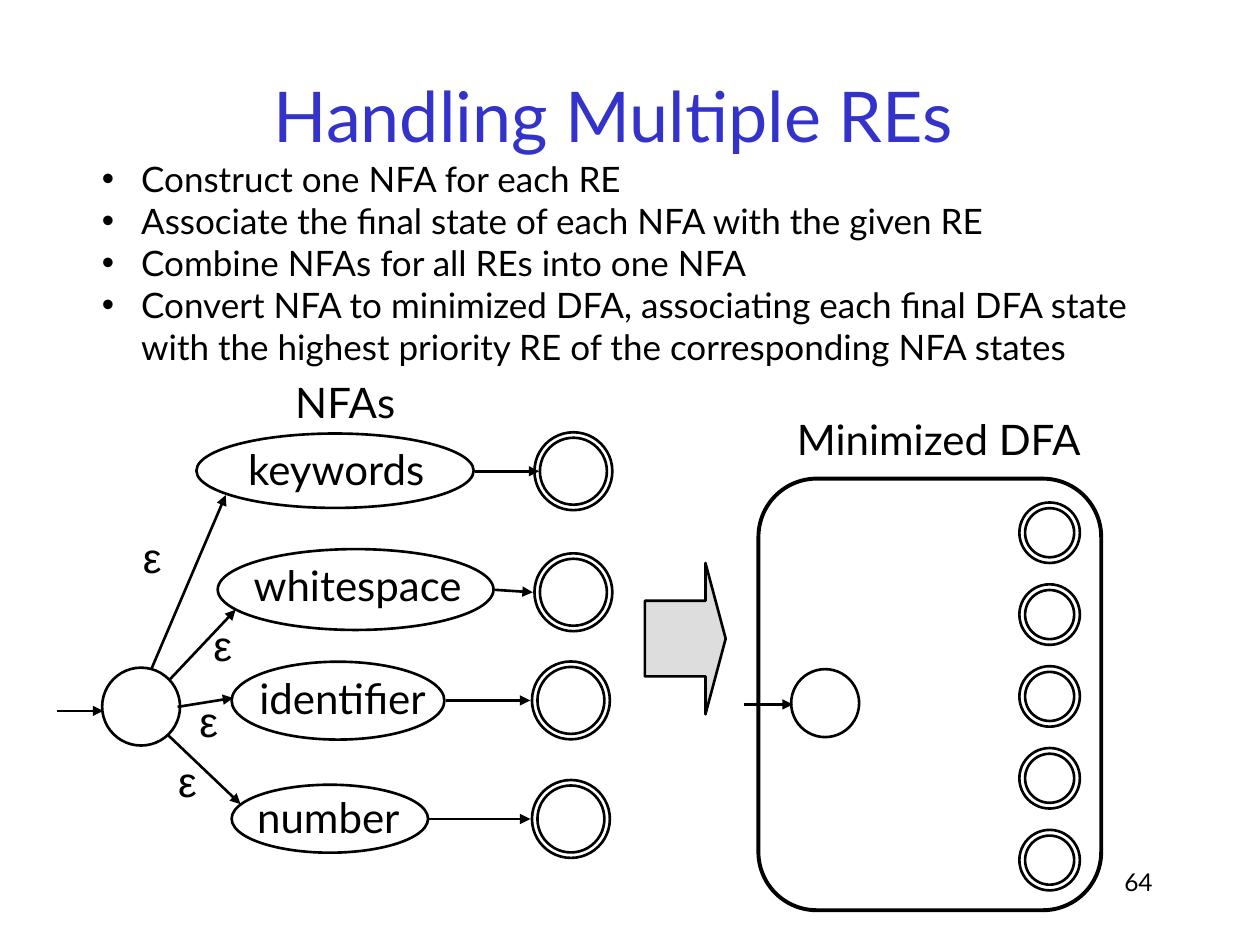
from lxml import etree
from pptx import Presentation
from pptx.dml.color import RGBColor
from pptx.enum.shapes import MSO_CONNECTOR, MSO_SHAPE
from pptx.enum.text import MSO_ANCHOR, MSO_AUTO_SIZE, PP_ALIGN
from pptx.oxml.ns import qn
from pptx.util import Cm, Pt

LEFT, CENTER, RIGHT = PP_ALIGN.LEFT, PP_ALIGN.CENTER, PP_ALIGN.RIGHT
TOP, MIDDLE = MSO_ANCHOR.TOP, MSO_ANCHOR.MIDDLE
NO_FIT = MSO_AUTO_SIZE.NONE
OVAL, ROUNDED = MSO_SHAPE.OVAL, MSO_SHAPE.ROUNDED_RECTANGLE
BLOCK_ARROW = MSO_SHAPE.RIGHT_ARROW
STRAIGHT = MSO_CONNECTOR.STRAIGHT

COLORS = {"ink": "000000", "title": "3333CC", "arrow": "DDDDDD"}
LABEL_HEIGHT = 1.27


class AutomataSlide:
    font = "Lato"
    line_width = 1.5

    def __init__(self, slide):
        self.slide = slide

    def color(self, name):
        return RGBColor.from_string(COLORS[name])

    def add_words(self, paragraph, text, size, color="ink", font=None):
        run = paragraph.add_run()
        run.text = text
        formats = {"name": font or self.font, "size": Pt(size)}
        for attribute, value in formats.items():
            setattr(run.font, attribute, value)
        run.font.color.rgb = self.color(color)

    def place(self, holder, left, top, width, height):
        box = {"left": left, "top": top, "width": width, "height": height}
        for attribute, value in box.items():
            setattr(holder, attribute, Cm(value))

    def frame(self, holder, anchor, wrap):
        formats = {"auto_size": NO_FIT, "vertical_anchor": anchor, "word_wrap": wrap}
        for attribute, value in formats.items():
            setattr(holder.text_frame, attribute, value)
        return holder.text_frame

    def title(self, text, *box):
        holder = self.slide.shapes.title
        self.place(holder, *box)
        paragraph = self.frame(holder, MIDDLE, True).paragraphs[0]
        paragraph.alignment = CENTER
        self.add_words(paragraph, text, 40, "title")

    def bullets(self, items, *box):
        holder = self.slide.placeholders[1]
        self.place(holder, *box)
        frame = self.frame(holder, TOP, True)
        for index, item in enumerate(items):
            paragraph = frame.add_paragraph() if index else frame.paragraphs[0]
            paragraph.alignment = LEFT
            paragraph.space_before = Pt(0)
            properties = paragraph._p.get_or_add_pPr()
            properties.set("marL", str(Cm(0.79)))
            properties.set("indent", str(-Cm(0.79)))
            bullet_color = etree.SubElement(properties, qn("a:buClr"))
            etree.SubElement(bullet_color, qn("a:srgbClr"), val=COLORS["ink"])
            etree.SubElement(properties, qn("a:buChar"), char="•")
            self.add_words(paragraph, item, 20)

    def label(self, text, left, top, width, size=24, font=None,
              align=CENTER, anchor=MIDDLE, wrap=False):
        box = self.slide.shapes.add_textbox(
            Cm(left), Cm(top), Cm(width), Cm(LABEL_HEIGHT))
        paragraph = self.frame(box, anchor, wrap).paragraphs[0]
        paragraph.alignment = align
        self.add_words(paragraph, text, size, font=font)

    def outline(self, kind, left, top, width, height, fill=None,
                line_width=None, adjustments=(), parent=None):
        shapes = (parent or self.slide).shapes
        shape = shapes.add_shape(kind, Cm(left), Cm(top), Cm(width), Cm(height))
        shape.shadow.inherit = False
        if fill:
            shape.fill.solid()
            shape.fill.fore_color.rgb = self.color(fill)
        else:
            shape.fill.background()
        shape.line.color.rgb = self.color("ink")
        shape.line.width = Pt(line_width or self.line_width)
        for index, value in enumerate(adjustments):
            shape.adjustments[index] = value

    def final_state(self, center_x, center_y, *diameters):
        group = self.slide.shapes.add_group_shape()
        for diameter in diameters:
            self.outline(OVAL, center_x - diameter / 2, center_y - diameter / 2,
                         diameter, diameter, parent=group)

    def arrow(self, *ends):
        connector = self.slide.shapes.add_connector(
            STRAIGHT, *[Cm(value) for value in ends])
        connector.line.color.rgb = self.color("ink")
        connector.line.width = Pt(self.line_width)
        properties = connector._element.spPr
        etree.SubElement(properties.find(qn("a:ln")), qn("a:tailEnd"), type="triangle")
        etree.SubElement(properties, qn("a:effectLst"))


AUTOMATA = [
    {"name": "keywords", "name_box": (4.62, 8.81, 4.32),
     "body": (3.96, 8.74, 5.59, 1.5),
     "entry": (3.05, 13.49, 4.55, 9.98), "epsilon": (2.64, 10.59),
     "exit": (9.58, 9.5, 10.87, 9.5), "final": (11.56, 9.5)},
    {"name": "whitespace", "name_box": (4.72, 11.15, 4.98),
     "body": (4.39, 11.07, 5.56, 1.63),
     "entry": (3.43, 13.69, 4.75, 12.29), "epsilon": (4.06, 12.37),
     "exit": (9.98, 11.89, 10.74, 11.94), "final": (11.56, 11.94)},
    {"name": "identifier", "name_box": (4.85, 13.44, 4.11),
     "body": (4.67, 13.34, 4.29, 1.57),
     "entry": (3.58, 14.25, 4.7, 14.07), "epsilon": (3.78, 13.89),
     "exit": (8.99, 14.12, 10.69, 14.12), "final": (11.51, 14.12)},
    {"name": "number", "name_box": (4.78, 15.82, 3.68),
     "body": (4.67, 15.82, 3.96, 1.37),
     "entry": (3.4, 14.83, 4.85, 16.21), "epsilon": (3.35, 15.11),
     "exit": (8.64, 16.51, 10.69, 16.51), "final": (11.51, 16.51)},
]

STEPS = [
    "Construct one NFA for each RE",
    "Associate the final state of each NFA with the given RE",
    "Combine NFAs for all REs into one NFA",
    "Convert NFA to minimized DFA, associating each final DFA state "
    "with the highest priority RE of the corresponding NFA states",
]


def main():
    deck = Presentation()
    deck.slide_width, deck.slide_height = Cm(25.4), Cm(19.05)
    page = AutomataSlide(deck.slides.add_slide(deck.slide_layouts[1]))

    page.title("Handling Multiple REs", 1.57, 0.71, 21.59, 3.18)
    page.bullets(STEPS, 1.8, 3.05, 21.31, 5.33)
    page.label("64", 18.21, 17.35, 5.28, size=14, align=RIGHT, anchor=TOP, wrap=True)

    page.label("NFAs", 5.69, 7.47, 2.54)
    page.outline(OVAL, 2.06, 13.46, 1.57, 1.57)
    page.arrow(1.14, 14.33, 2.08, 14.33)
    for automaton in AUTOMATA:
        page.outline(OVAL, *automaton["body"])
        page.label(automaton["name"], *automaton["name_box"])
        page.arrow(*automaton["entry"])
        page.label("ε", *automaton["epsilon"], 0.86, font="Arial")
        page.final_state(*automaton["final"], 1.57, 1.35)
        page.arrow(*automaton["exit"])

    page.outline(BLOCK_ARROW, 13, 11.35, 1.63, 3.05, fill="arrow",
                 adjustments=(0.5, 0.25))

    page.label("Minimized DFA", 15.7, 8.2, 6.45)
    page.outline(ROUNDED, 15.29, 9.65, 6.91, 8.7, line_width=2.25,
                 adjustments=(0.17,))
    page.outline(OVAL, 15.95, 13.49, 1.37, 1.37)
    page.arrow(14.99, 14.2, 15.98, 14.2)
    for row in range(5):
        page.final_state(21.16, 10.74 + 1.65 * row, 1.22, 0.99)

    deck.save("out.pptx")


if __name__ == "__main__":
    main()
